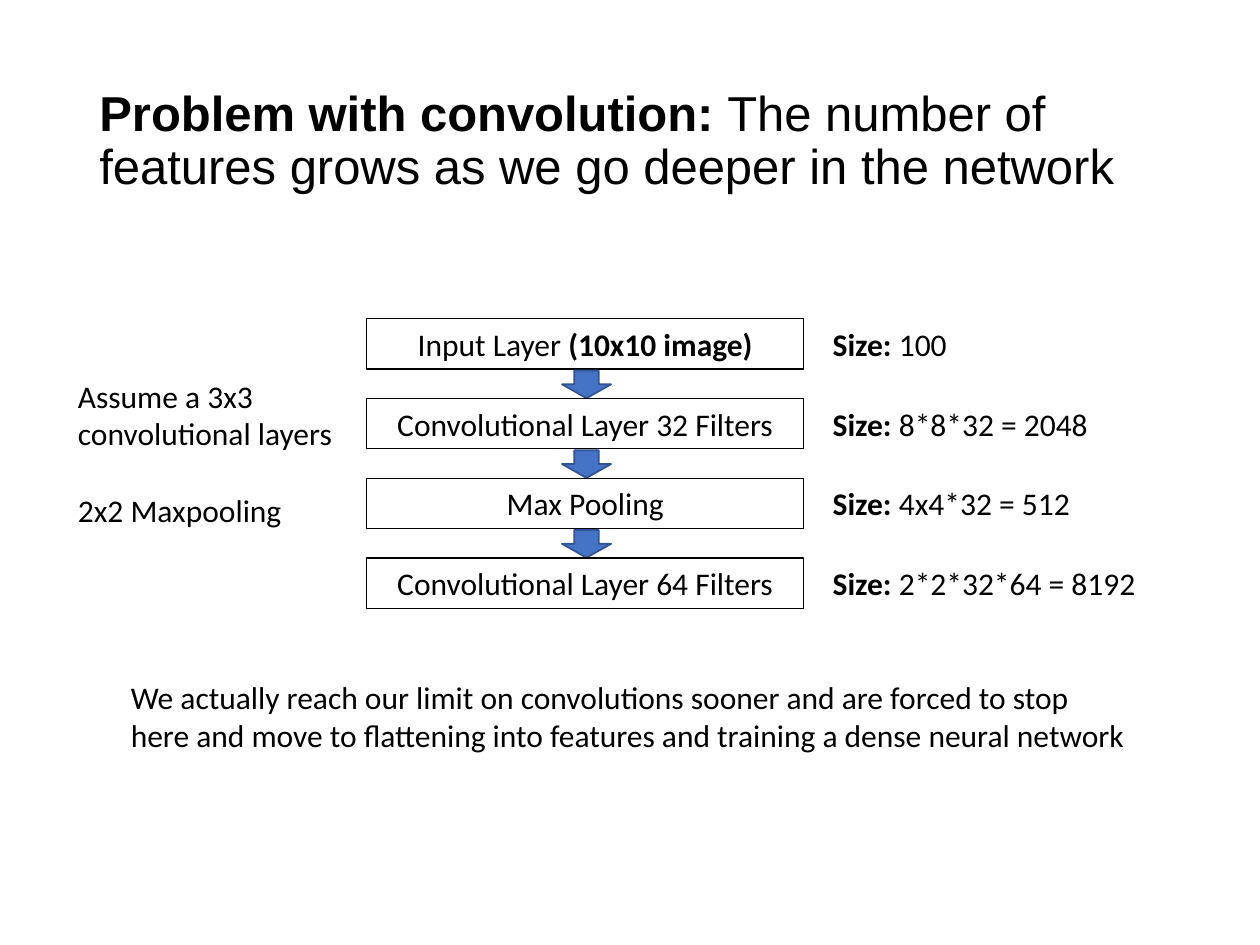
from typing import NamedTuple

from pptx import Presentation
from pptx.dml.color import RGBColor
from pptx.enum.shapes import MSO_SHAPE as Preset
from pptx.enum.text import MSO_ANCHOR as Anchor, PP_ALIGN as Align
from pptx.util import Inches, Pt


class Span(NamedTuple):
    text: str
    bold: bool = False


class Layer(NamedTuple):
    label: list[Span]
    size: str


LAYERS = [
    Layer([Span("Input Layer "), Span("(10x10 image)", True)], "100"),
    Layer([Span("Convolutional Layer 32 Filters")], "8*8*32 = 2048"),
    Layer([Span("Max Pooling")], "4x4*32 = 512"),
    Layer([Span("Convolutional Layer 64 Filters")], "2*2*32*64 = 8192"),
]
LAYER_LEFT, LAYER_WIDTH, LAYER_HEIGHT = 2.91, 3.47, 0.4
FIRST_TOP, LAYER_PITCH = 2.53, 0.633
ARROW_WIDTH, ARROW_HEIGHT = 0.39, 0.22


def color(value: str) -> RGBColor:
    return RGBColor.from_string(value)


def write(shape, paragraphs: list[list[Span]], font: str = "Calibri",
          size: float = 18, align=Align.LEFT, anchor=Anchor.TOP) -> None:
    frame = shape.text_frame
    frame.word_wrap = True
    frame.vertical_anchor = anchor
    for index, spans in enumerate(paragraphs):
        para = frame.add_paragraph() if index else frame.paragraphs[0]
        para.alignment = align
        para.font.name, para.font.size = font, Pt(size)
        para.font.color.rgb = color("000000")
        for span in spans:
            run = para.add_run()
            run.text, run.font.bold = span


def add_text(page, left: float, top: float, width: float, height: float,
             paragraphs: list[list[Span]], **style):
    box = page.shapes.add_textbox(Inches(left), Inches(top), Inches(width), Inches(height))
    write(box, paragraphs, **style)
    return box


def add_preset(page, preset, left: float, top: float, width: float, height: float,
               line: str, line_width: float, fill: str | None = None):
    shape = page.shapes.add_shape(preset, Inches(left), Inches(top), Inches(width), Inches(height))
    shape.shadow.inherit = False
    shape.line.color.rgb, shape.line.width = color(line), Pt(line_width)
    if fill:
        shape.fill.solid()
        shape.fill.fore_color.rgb = color(fill)
    else:
        shape.fill.background()
    return shape


deck = Presentation()
deck.slide_width, deck.slide_height = Inches(10), Inches(7.5)
page = deck.slides.add_slide(deck.slide_layouts[6])

# Title
title = add_text(page, 0.69, 0.4, 8.62, 1.45, [[
    Span("Problem with convolution: ", True),
    Span("The number of features grows as we go deeper in the network"),
]], font="Arial", size=28, anchor=Anchor.MIDDLE)
title.text_frame.paragraphs[0].line_spacing = 0.9

# Layers with their sizes, joined by arrows
for number, layer in enumerate(LAYERS):
    top = FIRST_TOP + number * LAYER_PITCH
    box = add_preset(page, Preset.RECTANGLE, LAYER_LEFT, top, LAYER_WIDTH, LAYER_HEIGHT,
                     "000000", 0.75)
    write(box, [layer.label], align=Align.CENTER)
    add_text(page, 6.51, top, 3.09, LAYER_HEIGHT, [[Span("Size: ", True), Span(layer.size)]])
    if number < len(LAYERS) - 1:
        add_preset(page, Preset.DOWN_ARROW, LAYER_LEFT + (LAYER_WIDTH - ARROW_WIDTH) / 2 + 0.01,
                   top + LAYER_HEIGHT + 0.01, ARROW_WIDTH, ARROW_HEIGHT,
                   "325491", 1, "4472C4")

# Assumptions
assumptions = add_text(page, 0.52, 2.94, 2.27, 1.31, [
    [Span("Assume a 3x3 convolutional layers")], [Span("2x2 Maxpooling")],
])
assumptions.text_frame.paragraphs[1].space_before = Pt(22)

# Conclusion
add_text(page, 0.94, 5.33, 8.13, 0.71, [[Span(
    "We actually reach our limit on convolutions sooner and are forced to stop here "
    "and move to flattening into features and training a dense neural network")]])

deck.save("out.pptx")
